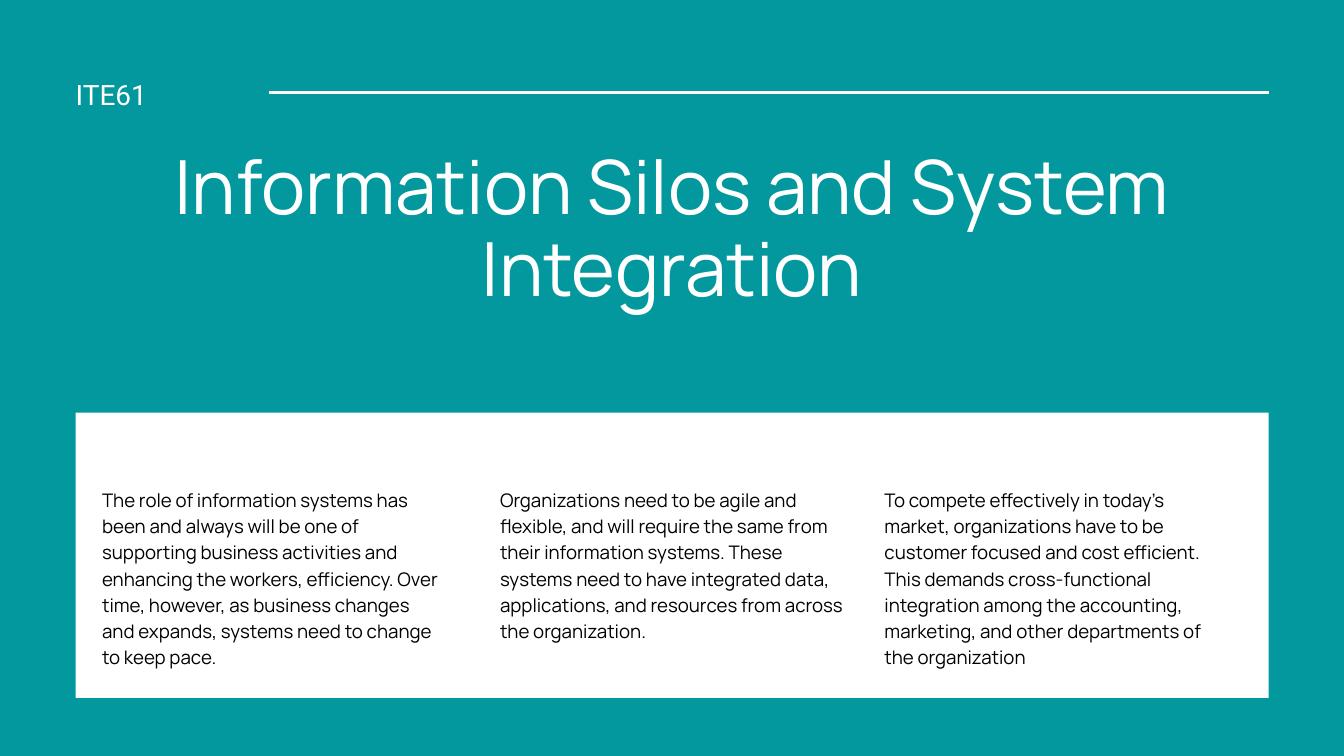
from lxml import etree
from pptx import Presentation
from pptx import util as u
from pptx.dml.color import RGBColor
from pptx.enum import shapes, text
from pptx.oxml.ns import qn

TEAL, WHITE, BLACK = "03989E", "FFFFFF", "000000"
MARGIN, WIDTH = 2.86, 45.09
COLUMNS = [
    (3.86, "The role of information systems has been and always will be one of "
           "supporting business activities and enhancing the workers, efficiency. "
           "Over time, however, as business changes and expands, systems need to "
           "change to keep pace."),
    (18.9, "Organizations need to be agile and flexible, and will require the same "
           "from their information systems. These systems need to have integrated "
           "data, applications, and resources from across the organization."),
    (33.43, "To compete effectively in today’s market, organizations have to be "
            "customer focused and cost efficient. This demands cross-functional "
            "integration among the accounting, marketing, and other departments of "
            "the organization"),
]


def color(value):
    """Turn a hex string into a colour."""
    return RGBColor.from_string(value)


def add_rule(s, x1, x2, y):
    """Draw a horizontal white line."""
    sp = s.shapes.add_connector(shapes.MSO_CONNECTOR.STRAIGHT,
                                u.Cm(x1), u.Cm(y), u.Cm(x2), u.Cm(y))
    sp.line.color.rgb = color(WHITE)
    sp.line.width = u.Pt(3)
    etree.SubElement(sp._element.spPr, qn("a:effectLst"))


def add_panel(s, x, y, w, h):
    """Draw a plain white rectangle."""
    sp = s.shapes.add_shape(shapes.MSO_SHAPE.RECTANGLE,
                            u.Cm(x), u.Cm(y), u.Cm(w), u.Cm(h))
    sp.shadow.inherit = False
    sp.fill.solid()
    sp.fill.fore_color.rgb = color(WHITE)
    sp.line.fill.background()


def add_text(s, box, words, size, leading, ink, font="Manrope",
             align=text.PP_ALIGN.LEFT):
    """Add a one-paragraph text box without insets."""
    tf = s.shapes.add_textbox(*map(u.Cm, box)).text_frame
    tf.word_wrap = True
    tf.margin_left = tf.margin_right = tf.margin_top = tf.margin_bottom = 0
    p = tf.paragraphs[0]
    p.text = words
    p.alignment = align
    p.line_spacing = u.Pt(leading)
    p.font.name = font
    p.font.size = u.Pt(size)
    p.font.color.rgb = color(ink)


def main():
    """Build the slide and save it."""
    prs = Presentation()
    prs.slide_width, prs.slide_height = u.Cm(50.8), u.Cm(28.575)
    s = prs.slides.add_slide(prs.slide_layouts[6])
    s.background.fill.solid()
    s.background.fill.fore_color.rgb = color(TEAL)

    add_rule(s, 10.16, MARGIN + WIDTH, 3.5)
    add_text(s, (MARGIN, 2.7, 6.43, 1.42), "ITE61", 30, 42, WHITE, "Roboto")
    add_text(s, (MARGIN, 5.56, WIDTH, 6.48),
             "Information Silos and System Integration", 80, 88, WHITE,
             align=text.PP_ALIGN.CENTER)
    add_panel(s, MARGIN, 15.6, WIDTH, 10.78)
    for x, words in COLUMNS:
        add_text(s, (x, 18.34, 12.98, 6.91), words, 20, 28, BLACK)

    prs.save("out.pptx")


if __name__ == "__main__":
    main()
